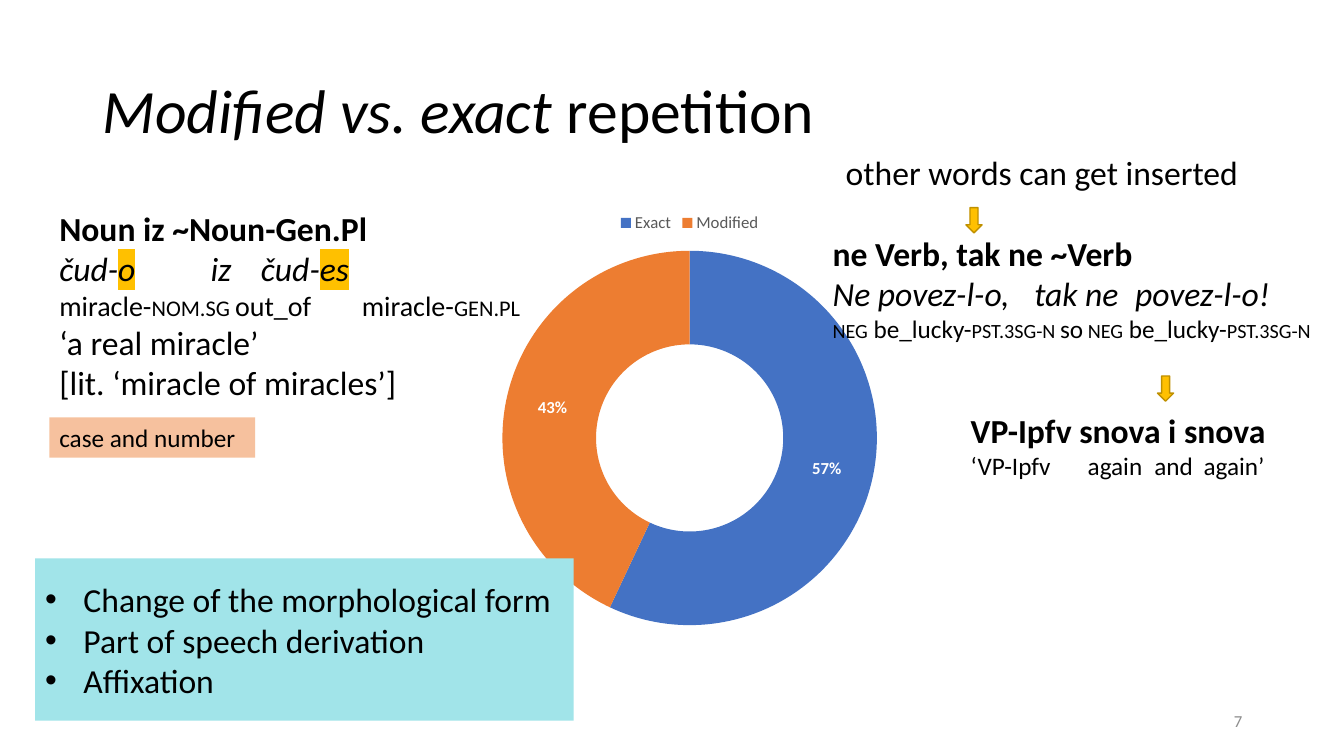
from lxml.etree import SubElement
from pptx import Presentation
from pptx.chart.data import CategoryChartData
from pptx.dml.color import RGBColor
from pptx.enum.chart import XL_CHART_TYPE as ChartType, XL_LEGEND_POSITION as LegendPosition
from pptx.enum.shapes import MSO_SHAPE as Preset
from pptx.enum.text import MSO_ANCHOR as Anchor, PP_ALIGN as Align
from pptx.oxml.ns import qn
from pptx.util import Pt

PX = 9144  # 100 px to the inch
FONT = "Calibri"
BLACK = RGBColor(0x00, 0x00, 0x00)
WHITE = RGBColor(0xFF, 0xFF, 0xFF)
PAGE_GREY = RGBColor(0x8C, 0x8C, 0x8C)
LEGEND_GREY = RGBColor(0x59, 0x59, 0x59)
BLUE = RGBColor(0x44, 0x72, 0xC4)
ORANGE = RGBColor(0xED, 0x7D, 0x31)
TURQUOISE = RGBColor(0xA1, 0xE4, 0xE9)
GOLD = RGBColor(0xFF, 0xC0, 0x00)
DARK_GOLD = RGBColor(0xBF, 0x90, 0x00)

# A line is (size, runs); a run is (text, styles):
# b bold, i italic, s small capitals, h highlighted
TITLE = [(44, [("Modified vs. exact ", "i"), ("repetition", "")])]
PAGE_NUMBER = [(12, [("7", "")])]
INSERTED = [(24, [("other words can get inserted", "")])]
NOUN_PATTERN = [
    (24, [("Noun iz ~Noun-Gen.Pl", "b")]),
    (24, [("čud-", "i"), ("o", "ih"), (" \t\tiz \tčud-", "i"), ("es", "ih")]),
    (20, [("miracle-", ""), ("nom.sg ", "s"), ("out_of \tmiracle-", ""), ("gen.pl", "s")]),
    (24, [("‘a real miracle’", "")]),
    (24, [("[lit. ‘miracle of miracles’]", "")]),
]
VERB_PATTERN = [
    (24, [("ne Verb, tak ne ~Verb", "b")]),
    (24, [("Ne povez-l-o, \ttak ne \tpovez-l-o!", "i")]),
    (18, [("neg", "s"), (" be_lucky-", ""), ("pst.3sg-n ", "s"), ("so", ""),
          (" neg", "s"), (" be_lucky-", ""), ("pst.3sg-n", "s")]),
]
SNOVA_PATTERN = [
    (24, [("VP-Ipfv snova i snova", "b")]),
    (18, [("‘VP-Ipfv\tagain\tand\tagain’", "")]),
]
SNOVA_TABS = [116, 182, 231]
CASE_LABEL = [(18, [("case and number", "")])]
CHANGES = [(24, [(text, "")]) for text in
           ("Change of the morphological form", "Part of speech derivation", "Affixation")]
BULLET_INDENT = 38
SHARES = [("Exact", 57, BLUE), ("Modified", 43, ORANGE)]
CHART_BOX = (177, 200, 1014, 434)
ARROWS = [(1148, 373), (958, 206)]
ARROW_SIZE = (16, 25)


def emu(box):
    return [length * PX for length in box]


def set_font(font, size, color, bold=None):
    font.name, font.size, font.bold = FONT, Pt(size), bold
    font.color.rgb = color


def style_run(run, size, styles, color):
    set_font(run.font, size, color, "b" in styles)
    run.font.italic = "i" in styles
    properties = run.font._element
    if "s" in styles:
        properties.set("cap", "small")
    if "h" in styles:
        highlight = SubElement(properties, qn("a:highlight"))
        SubElement(highlight, qn("a:srgbClr"), val=str(GOLD))
        properties.find(qn("a:solidFill")).addnext(highlight)


def write_lines(shape, lines, color=BLACK, anchor=Anchor.TOP, align=Align.LEFT, wrap=True):
    frame = shape.text_frame
    frame.word_wrap, frame.vertical_anchor = wrap, anchor
    for index, (size, runs) in enumerate(lines):
        paragraph = frame.add_paragraph() if index else frame.paragraphs[0]
        paragraph.alignment = align
        for text, styles in runs:
            run = paragraph.add_run()
            run.text = text
            style_run(run, size, styles, color)
    return frame.paragraphs


def add_text(slide, box, lines, **options):
    return write_lines(slide.shapes.add_textbox(*emu(box)), lines, **options)


def add_filled(slide, preset, box, color):
    shape = slide.shapes.add_shape(preset, *emu(box))
    shape.shadow.inherit = False
    shape.fill.solid()
    shape.fill.fore_color.rgb = color
    shape.line.fill.background()
    return shape


def add_doughnut(slide):
    data = CategoryChartData()
    data.categories = [name for name, _, _ in SHARES]
    data.add_series("Series 1", [value for _, value, _ in SHARES])
    chart = slide.shapes.add_chart(ChartType.DOUGHNUT, *emu(CHART_BOX), data).chart
    set_font(chart.font, 10, BLACK)
    chart.has_title = False
    chart.has_legend = True
    chart.legend.position = LegendPosition.TOP
    chart.legend.include_in_layout = False
    set_font(chart.legend.font, 12, LEGEND_GREY)
    plot = chart.plots[0]
    plot.vary_by_categories = True
    plot.has_data_labels = True
    labels = plot.data_labels
    labels.show_percentage, labels.show_value = True, False
    labels.number_format, labels.number_format_is_linked = "0%", False
    set_font(labels.font, 12, WHITE, True)
    for index, (_, _, color) in enumerate(SHARES):
        fill = plot.series[0].points[index].format.fill
        fill.solid()
        fill.fore_color.rgb = color


def add_bullet(paragraph):
    properties = paragraph._p.get_or_add_pPr()
    properties.set("marL", str(BULLET_INDENT * PX))
    properties.set("indent", str(-BULLET_INDENT * PX))
    SubElement(properties, qn("a:buFont"), typeface="Arial")
    SubElement(properties, qn("a:buChar"), char="•")


def set_tabs(paragraph, stops):
    tab_list = SubElement(paragraph._p.get_or_add_pPr(), qn("a:tabLst"))
    for stop in stops:
        SubElement(tab_list, qn("a:tab"), pos=str(stop * PX), algn="l")


def add_arrow(slide, position):
    arrow = add_filled(slide, Preset.UP_ARROW, position + ARROW_SIZE, GOLD)
    arrow.rotation = 180
    arrow.line.color.rgb = DARK_GOLD
    arrow.line.width = Pt(1)


def main():
    presentation = Presentation()
    presentation.slide_width, presentation.slide_height = emu((1333, 750))
    slide = presentation.slides.add_slide(presentation.slide_layouts[6])

    title = add_text(slide, (92, 40, 1150, 145), TITLE, anchor=Anchor.MIDDLE)
    title[0].line_spacing = 0.9
    add_text(slide, (942, 695, 300, 40), PAGE_NUMBER, color=PAGE_GREY,
             anchor=Anchor.MIDDLE, align=Align.RIGHT)
    add_doughnut(slide)
    add_text(slide, (816, 226, 517, 162), VERB_PATTERN)
    snova = add_text(slide, (953, 402, 366, 121), SNOVA_PATTERN)
    set_tabs(snova[1], SNOVA_TABS)

    changes = add_filled(slide, Preset.RECTANGLE, (35, 554, 534, 161), TURQUOISE)
    for paragraph in write_lines(changes, CHANGES, anchor=Anchor.MIDDLE):
        add_bullet(paragraph)

    for position in ARROWS:
        add_arrow(slide, position)
    add_text(slide, (829, 146, 413, 50), INSERTED, wrap=False)
    add_text(slide, (49, 201, 706, 205), NOUN_PATTERN)

    case_label = add_filled(slide, Preset.RECTANGLE, (49, 414, 204, 40), ORANGE)
    case_color = case_label._element.spPr.find(qn("a:solidFill"))[0]
    SubElement(case_color, qn("a:alpha"), val="47000")
    write_lines(case_label, CASE_LABEL)

    presentation.save("out.pptx")


if __name__ == "__main__":
    main()
